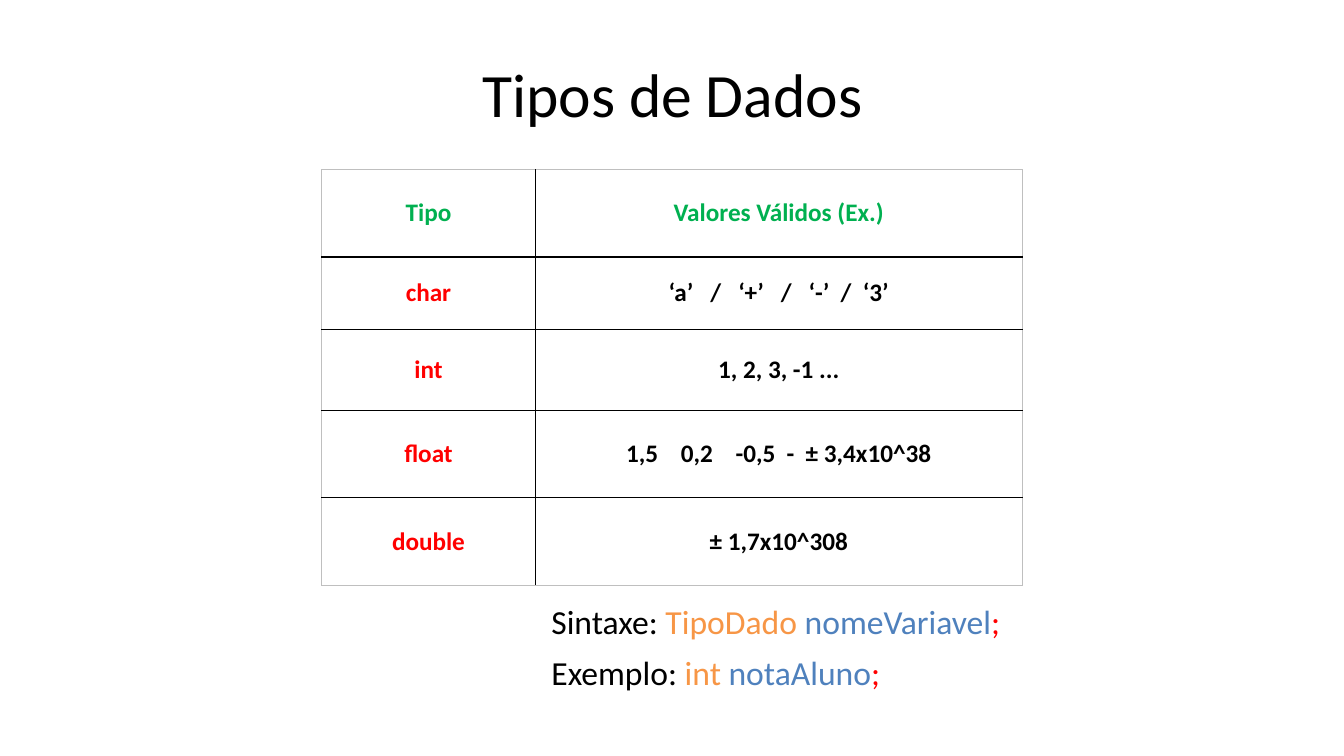
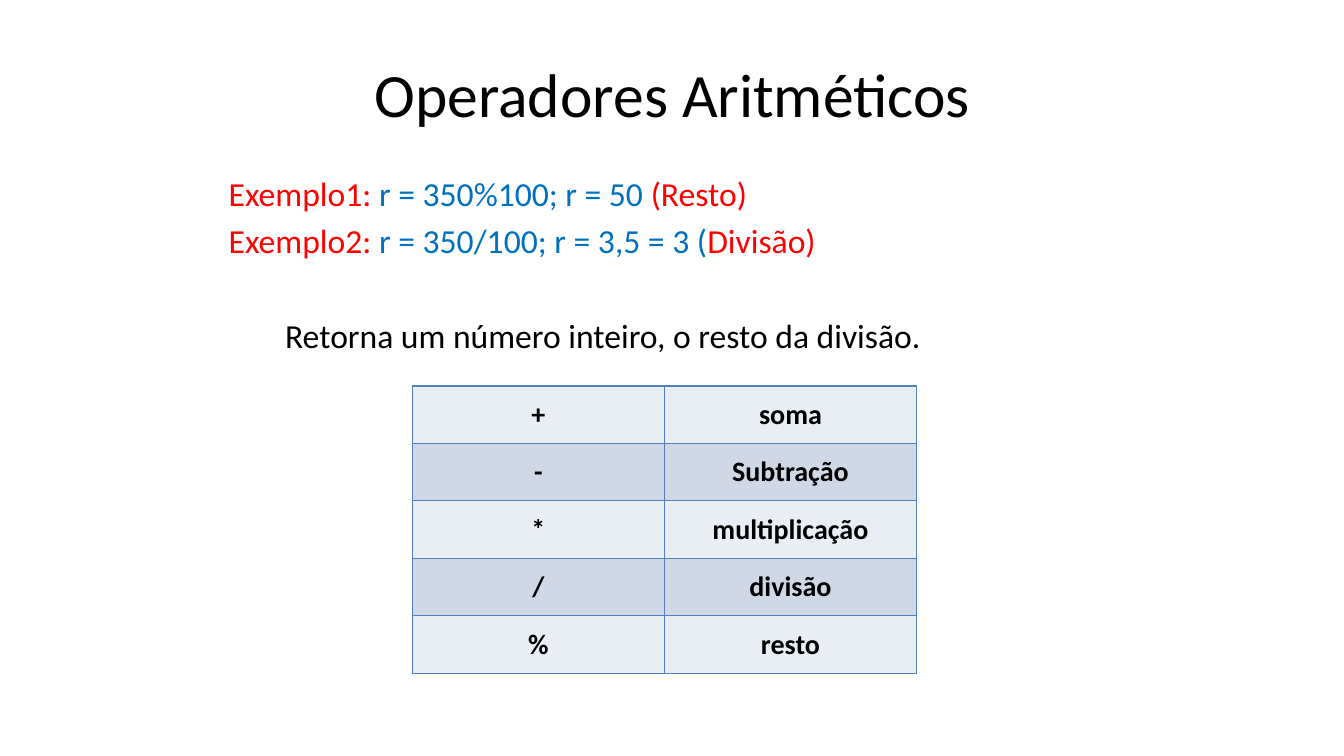
from dataclasses import dataclass

from lxml.etree import SubElement
from pptx import Presentation
from pptx.dml.color import RGBColor
from pptx.enum.text import MSO_ANCHOR, PP_ALIGN
from pptx.oxml.ns import qn
from pptx.util import Emu, Pt

PX = 9144  # EMU per px, 100 px to the inch


@dataclass(frozen=True)
class Theme:
    font: str = "Calibri"
    black: str = "000000"
    green: str = "00B050"
    red: str = "FF0000"
    orange: str = "F79646"
    blue: str = "4F81BD"
    code_blue: str = "0070C0"
    frame_gray: str = "BFBFBF"
    bands: tuple = ("E9EDF4", "D0D8E8")
    title_size: int = 44
    body_size: int = 24
    operator_size: int = 20
    type_size: int = 18


THEME = Theme()
TITLE_BOX = (67, 30, 1200, 125)
HANGING = 56


def px(length):
    return Emu(length * PX)


def place(box):
    return [px(length) for length in box]


def write(paragraph, text, *, size, color=THEME.black, bold=False, align=None):
    """Add one formatted run to a paragraph."""
    run = paragraph.add_run()
    run.text = text
    run.font.name = THEME.font
    run.font.size = Pt(size)
    run.font.bold = bold
    run.font.color.rgb = RGBColor.from_string(color)
    if align is not None:
        paragraph.alignment = align


def add_titled_slide(deck, heading):
    slide = deck.slides.add_slide(deck.slide_layouts[5])
    title = slide.shapes.title
    title.left, title.top, title.width, title.height = place(TITLE_BOX)
    title.text_frame.vertical_anchor = MSO_ANCHOR.MIDDLE
    write(title.text_frame.paragraphs[0], heading, size=THEME.title_size,
          align=PP_ALIGN.CENTER)
    return slide


def add_lines(slide, box, lines, *, before, spacing=1.0):
    """Each line is a list of (text, colour) parts; before holds a gap per line."""
    frame = slide.shapes.add_textbox(*place(box)).text_frame
    frame.word_wrap = True
    for index, (parts, gap) in enumerate(zip(lines, before)):
        paragraph = frame.paragraphs[0] if index == 0 else frame.add_paragraph()
        paragraph.space_before = Pt(gap)
        paragraph.line_spacing = spacing
        for text, color in parts:
            write(paragraph, text, size=THEME.body_size, color=color)
    return frame


def set_indent(paragraph, left, first):
    properties = paragraph._p.get_or_add_pPr()
    properties.set("marL", str(px(left)))
    properties.set("indent", str(px(first)))


def set_border(cell, side, color, width):
    line = SubElement(cell._tc.get_or_add_tcPr(), qn(f"a:ln{side}"),
                      w=str(Pt(width)))
    fill = SubElement(line, qn("a:solidFill"))
    SubElement(fill, qn("a:srgbClr"), val=color)


def add_grid(slide, corner, widths, heights, rows, *, size, colors, inner, outer,
             bands=None):
    """Colors gives the text colour at (row, column); inner and outer are borders."""
    box = (*corner, sum(widths), sum(heights))
    table = slide.shapes.add_table(len(rows), len(widths), *place(box)).table
    table.first_row = table.horz_banding = False
    for column, width in zip(table.columns, widths):
        column.width = px(width)
    for r, (row, height) in enumerate(zip(rows, heights)):
        table.rows[r].height = px(height)
        for c, text in enumerate(row):
            cell = table.cell(r, c)
            edges = {"L": c == 0, "R": c == len(widths) - 1,
                     "T": r == 0, "B": r == len(rows) - 1}
            for side, is_edge in edges.items():
                set_border(cell, side, *(outer if is_edge else inner))
            if bands:
                cell.fill.solid()
                cell.fill.fore_color.rgb = RGBColor.from_string(bands[r % len(bands)])
            else:
                cell.fill.background()
            cell.vertical_anchor = MSO_ANCHOR.MIDDLE
            write(cell.text_frame.paragraphs[0], text, size=size,
                  color=colors(r, c), bold=True, align=PP_ALIGN.CENTER)


def type_color(row, column):
    if row == 0:
        return THEME.green
    return THEME.red if column == 0 else THEME.black


def build_data_types(deck):
    slide = add_titled_slide(deck, "Tipos de Dados")
    # Types and their valid values
    types = [
        ("Tipo", "Valores Válidos (Ex.)"),
        ("char", "‘a’   /   ‘+’   /   ‘-’  /  ‘3’"),
        ("int", "1, 2, 3, -1 ..."),
        ("float", "1,5    0,2    -0,5  -  ± 3,4x10^38"),
        ("double", "± 1,7x10^308"),
    ]
    add_grid(slide, (319, 168), (212, 483), (87, 72, 80, 87, 87), types,
             size=THEME.type_size, colors=type_color,
             inner=(THEME.black, 1), outer=(THEME.frame_gray, 0.5))
    # Declaration syntax
    declarations = [("Sintaxe: ", "TipoDado ", "nomeVariavel", ";"),
                    ("Exemplo: ", "int ", "notaAluno", ";")]
    part_colors = (THEME.black, THEME.orange, THEME.blue, THEME.red)
    syntax = add_lines(slide, (537, 596, 489, 103),
                       [list(zip(parts, part_colors)) for parts in declarations],
                       before=(10, 10), spacing=0.9)
    for paragraph in syntax.paragraphs:
        set_indent(paragraph, HANGING, -HANGING)


def build_operators(deck):
    slide = add_titled_slide(deck, "Operadores Aritméticos")
    # Worked examples, then the remark on the remainder
    examples = [
        [("Exemplo1: ", THEME.red), ("r = 350%100; r = 50 ", THEME.code_blue),
         ("(Resto)", THEME.red)],
        [("Exemplo2: ", THEME.red), ("r = 350/100; r = 3,5 = 3 (", THEME.code_blue),
         ("Divisão)", THEME.red)],
        [("Retorna um número inteiro, o resto da divisão.", THEME.black)],
    ]
    body = add_lines(slide, (217, 167, 900, 536), examples, before=(4.8, 4.8, 39))
    *worked, remark = body.paragraphs
    for paragraph in worked:
        set_indent(paragraph, HANGING, -HANGING)
    set_indent(remark, HANGING, 0)
    # Operators
    operators = [("+", "soma"), ("-", "Subtração"), ("*", "multiplicação"),
                 ("/", "divisão"), ("%", "resto")]
    border = (THEME.blue, 1)
    add_grid(slide, (409, 383), (250, 250), [57] * len(operators), operators,
             size=THEME.operator_size, colors=lambda row, column: THEME.black,
             inner=border, outer=border, bands=THEME.bands)


def main():
    deck = Presentation()
    deck.slide_width, deck.slide_height = px(1333), px(750)
    build_data_types(deck)
    build_operators(deck)
    deck.save("out.pptx")


if __name__ == "__main__":
    main()
